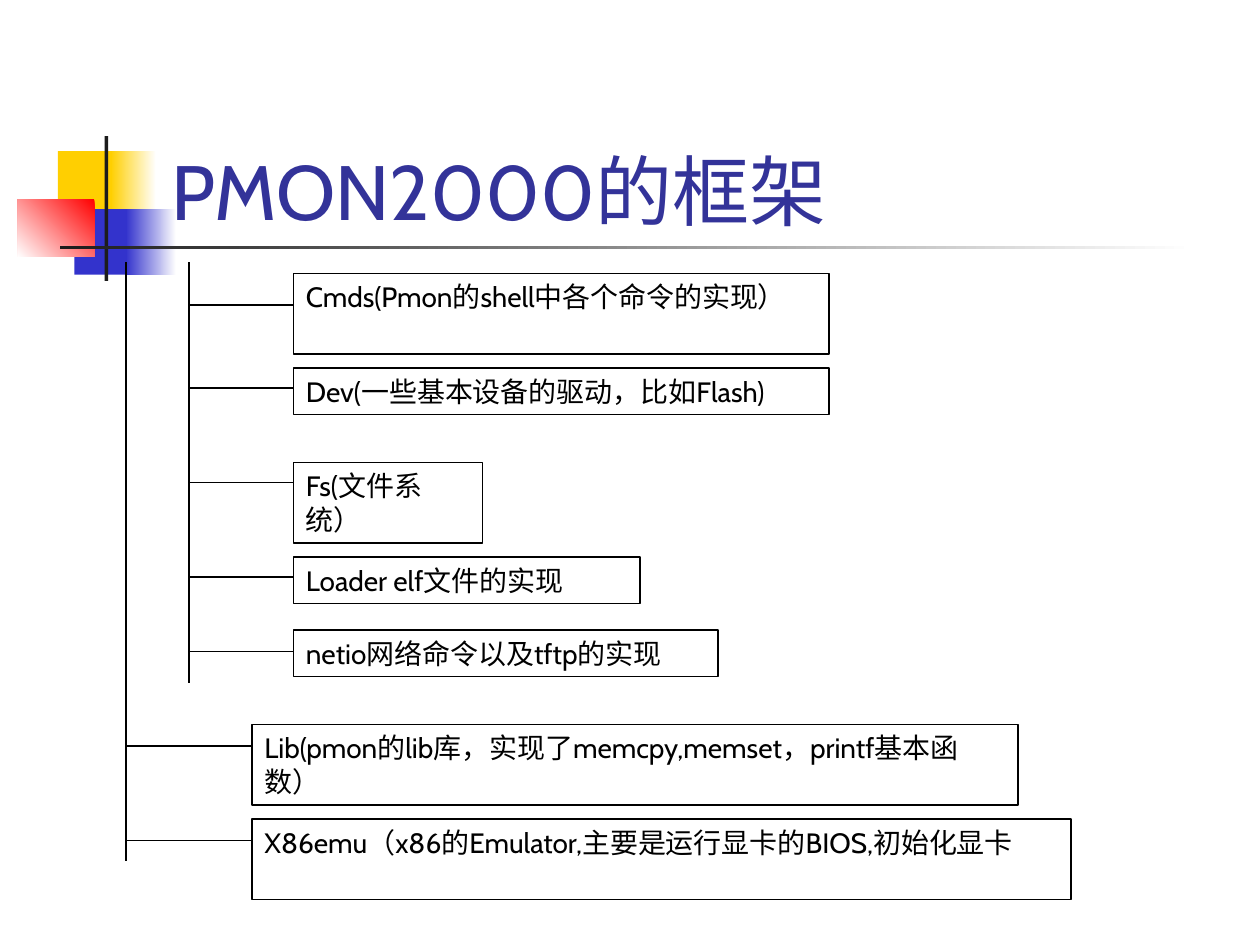
from lxml import etree
from pptx import Presentation
from pptx.dml.color import RGBColor
from pptx.enum import shapes, text
from pptx.oxml import ns
from pptx.util import Inches, Pt

WHITE = RGBColor(0xFF, 0xFF, 0xFF)
BLACK = RGBColor(0, 0, 0)
YELLOW = RGBColor(0xFF, 0xCF, 0x01)
BLUE = RGBColor(0x33, 0x33, 0xCC)
RED = RGBColor(0xFF, 0, 0)
CHARCOAL = RGBColor(0x1C, 0x1C, 0x1C)
TITLE_BLUE = RGBColor(0x33, 0x33, 0x99)
FONT = "Cabin"
RULE = Pt(0.74)

ONE_LINE, TWO_LINES = 0.37, 0.64
OUTER_TRUNK, INNER_TRUNK = 1, 1.5
TRUNK_TOP = 2.08

BRANCHES = [
    (INNER_TRUNK, 2.33, [
        (2.42, 2.17, 4.25, TWO_LINES, "Cmds(Pmon的shell中各个命令的实现）"),
        (3.08, 2.92, 4.25, ONE_LINE, "Dev(一些基本设备的驱动，比如Flash)"),
        (3.83, 3.67, 1.5, TWO_LINES, "Fs(文件系统）"),
        (4.58, 4.42, 2.75, ONE_LINE, "Loader elf文件的实现"),
        (5.17, 5, 3.37, ONE_LINE, "netio网络命令以及tftp的实现"),
    ]),
    (OUTER_TRUNK, 2, [
        (5.92, 5.75, 6.08, TWO_LINES,
         "Lib(pmon的lib库，实现了memcpy,memset，printf基本函数）"),
        (6.67, 6.5, 6.5, TWO_LINES,
         "X86emu（x86的Emulator,主要是运行显卡的BIOS,初始化显卡"),
    ]),
]


def add_rect(slide, left, top, width, height):
    rect = slide.shapes.add_shape(
        shapes.MSO_SHAPE.RECTANGLE,
        Inches(left), Inches(top), Inches(width), Inches(height))
    rect.shadow.inherit = False
    return rect


def add_block(slide, place, color):
    block = add_rect(slide, *place)
    block.fill.solid()
    block.fill.fore_color.rgb = color
    block.line.fill.background()


def add_fade(slide, place, start, end, angle=180):
    fade = add_rect(slide, *place)
    fade.fill.gradient()
    fade.fill.gradient_angle = angle
    for stop, color in zip(fade.fill.gradient_stops, (start, end)):
        stop.color.rgb = color
    fade.line.fill.background()


def add_line(slide, x1, y1, x2, y2):
    line = slide.shapes.add_connector(
        shapes.MSO_CONNECTOR.STRAIGHT,
        Inches(x1), Inches(y1), Inches(x2), Inches(y2))
    line.line.color.rgb = BLACK
    line.line.width = RULE
    etree.SubElement(line._element.spPr, ns.qn("a:effectLst"))


def write(frame, wording, size, color):
    frame.word_wrap = True
    paragraph = frame.paragraphs[0]
    paragraph.alignment = text.PP_ALIGN.LEFT
    run = paragraph.add_run()
    run.text = wording
    run.font.name = FONT
    run.font.size = Pt(size)
    run.font.color.rgb = color
    return paragraph


def add_module(slide, left, top, width, height, wording):
    module = add_rect(slide, left, top, width, height)
    module.fill.background()
    module.line.color.rgb = BLACK
    module.line.width = RULE
    frame = module.text_frame
    frame.vertical_anchor = text.MSO_ANCHOR.TOP
    frame.auto_size = text.MSO_AUTO_SIZE.SHAPE_TO_FIT_TEXT
    write(frame, wording, 16, BLACK).space_before = Pt(10)


def add_title(slide, wording):
    title = slide.shapes.add_textbox(
        Inches(1.26), Inches(0.67), Inches(8.52), Inches(1.25))
    title.text_frame.vertical_anchor = text.MSO_ANCHOR.BOTTOM
    write(title.text_frame, wording, 44, TITLE_BLUE)


def add_ornament(slide):
    add_block(slide, (0.46, 1.2, 0.48, 0.52), YELLOW)
    add_fade(slide, (0.88, 1.2, 0.36, 0.52), WHITE, YELLOW)
    add_block(slide, (0.59, 1.66, 0.46, 0.52), BLUE)
    add_fade(slide, (1, 1.66, 0.4, 0.52), WHITE, BLUE)
    add_fade(slide, (0.14, 1.58, 0.61, 0.46), RED, WHITE, 225)
    add_block(slide, (0.83, 1.08, 0.03, 1.15), CHARCOAL)
    add_fade(slide, (0.48, 1.95, 9, 0.03), WHITE, CHARCOAL)


def main():
    deck = Presentation()
    deck.slide_width, deck.slide_height = Inches(10), Inches(7.5)
    slide = deck.slides.add_slide(deck.slide_layouts[6])
    add_ornament(slide)
    add_title(slide, "PMON2000的框架")
    add_line(slide, OUTER_TRUNK, TRUNK_TOP, OUTER_TRUNK, 6.83)
    add_line(slide, INNER_TRUNK, TRUNK_TOP, INNER_TRUNK, 5.42)
    for trunk, left, modules in BRANCHES:
        for twig, top, width, height, wording in modules:
            add_line(slide, trunk, twig, left, twig)
            add_module(slide, left, top, width, height, wording)
    deck.save("out.pptx")


main()
